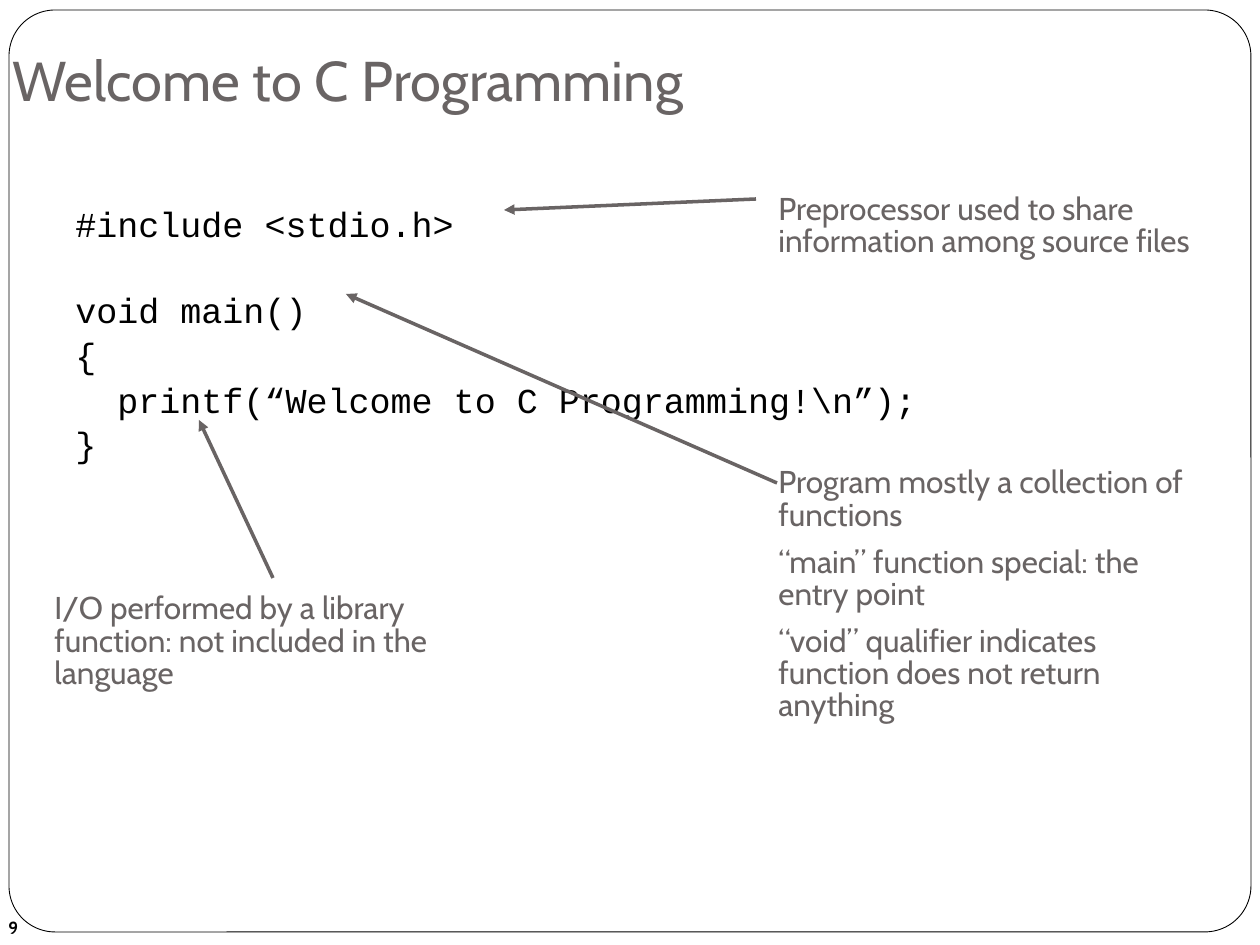
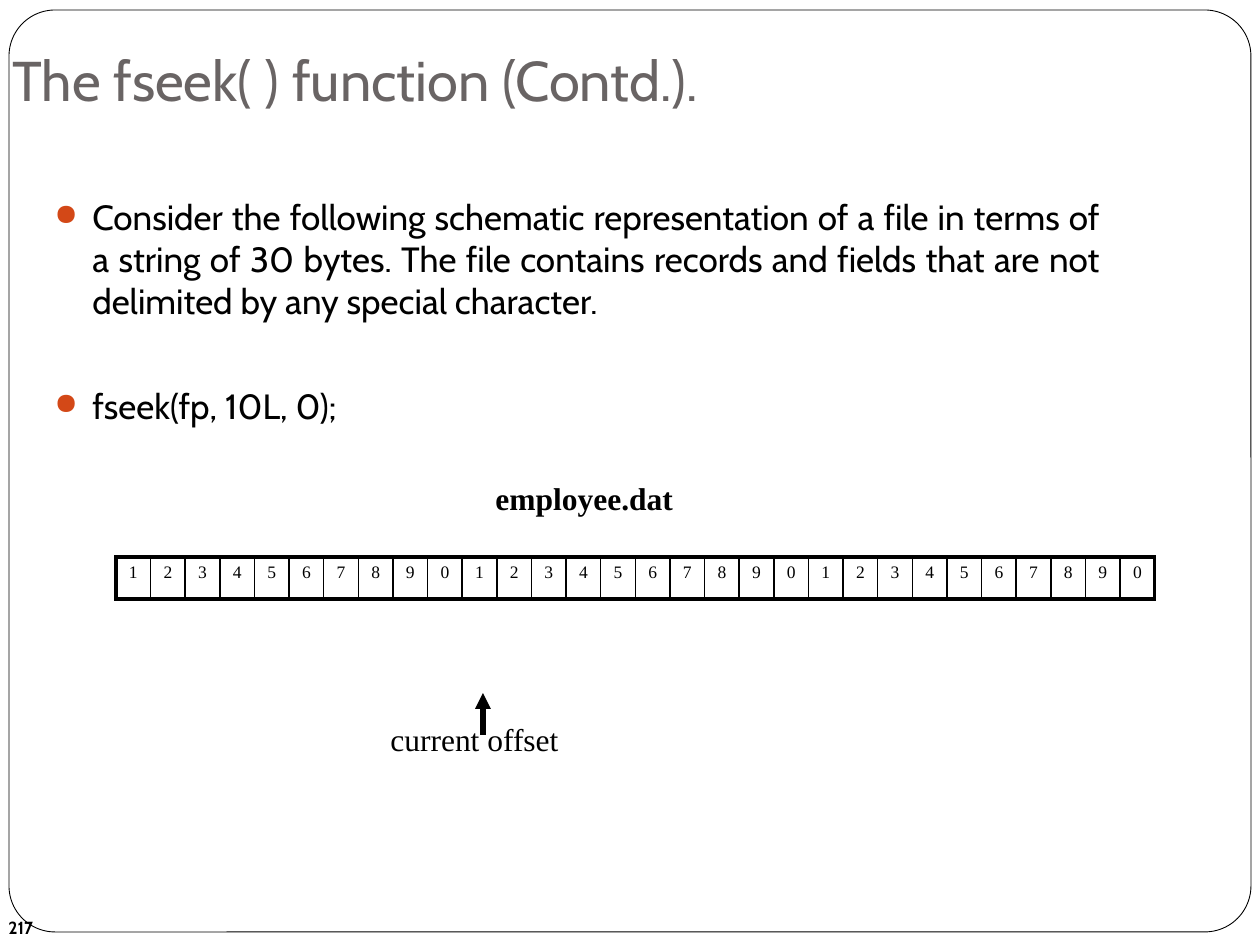
import pptx
import pptx.dml.color
import pptx.enum.shapes
import pptx.enum.text
import pptx.oxml
import pptx.oxml.ns
import pptx.util
import lxml.etree

PX = 914400 / 126
BLACK = pptx.dml.color.RGBColor(0x00, 0x00, 0x00)
WHITE = pptx.dml.color.RGBColor(0xFF, 0xFF, 0xFF)
GREY = pptx.dml.color.RGBColor(0x69, 0x64, 0x64)
ORANGE = pptx.dml.color.RGBColor(0xD3, 0x48, 0x17)

Pt = pptx.util.Pt
ANCHOR = pptx.enum.text.MSO_ANCHOR
ALIGN = pptx.enum.text.PP_ALIGN

TITLE = {"name": "Cabin", "size": Pt(32), "color": GREY}
NUMBER = {"name": "Cabin", "size": Pt(10), "bold": True, "color": BLACK}
CODE = {"name": "Courier New", "size": Pt(20), "color": BLACK}
NOTE = {"name": "Cabin", "size": Pt(18), "color": GREY}
BODY = {"name": "Cabin", "size": Pt(20), "color": BLACK}
LABEL = {"name": "Times New Roman", "size": Pt(18), "color": BLACK}
FILE_NAME = {**LABEL, "bold": True}
BYTE = {**LABEL, "size": Pt(10)}


def emu(px):
    return pptx.util.Emu(round(px * PX))


def set_attributes(target, values):
    for name, value in values.items():
        setattr(target, name, value)


def add_xml(parent, tag, **attributes):
    child = lxml.etree.SubElement(parent, pptx.oxml.ns.qn(tag))
    for name, value in attributes.items():
        child.set(name, str(value))
    return child


def write_run(p, text, font):
    r = p.add_run()
    r.text = text
    set_attributes(r.font, {k: v for k, v in font.items() if k != "color"})
    r.font.color.rgb = font["color"]


def add_bullet(p):
    pPr = p._p.get_or_add_pPr()
    pPr.set("marL", str(emu(38)))
    pPr.set("indent", str(-emu(38)))
    add_xml(add_xml(pPr, "a:buClr"), "a:srgbClr", val=ORANGE)
    add_xml(pPr, "a:buSzPct", val=85000)
    add_xml(pPr, "a:buChar", char="●")


def add_text(s, box, lines, font, gaps=(), bullets=False, frame=None, paragraph=None):
    sp = s.shapes.add_textbox(*map(emu, box))
    tf = sp.text_frame
    set_attributes(tf, {"word_wrap": True, **(frame or {})})
    for i, line in enumerate(lines):
        p = tf.add_paragraph() if i else tf.paragraphs[0]
        if bullets:
            add_bullet(p)
        set_attributes(p, paragraph or {})
        if i and gaps:
            p.space_before = Pt(gaps[i - 1])
        write_run(p, line, font)


def add_note(s, box, lines):
    add_text(s, box, lines, NOTE, gaps=[8.5] * (len(lines) - 1),
             paragraph={"line_spacing": 0.85})


def add_arrow(s, start, end, color, width):
    line = s.shapes.add_connector(
        pptx.enum.shapes.MSO_CONNECTOR.STRAIGHT, *map(emu, start + end))
    line.line.color.rgb = color
    line.line.width = Pt(width)
    spPr = line._element.spPr
    add_xml(spPr.find(pptx.oxml.ns.qn("a:ln")), "a:tailEnd", type="triangle")
    add_xml(spPr, "a:effectLst")


def add_border(cell, side, width):
    ln = add_xml(cell._tc.get_or_add_tcPr(), f"a:ln{side}", w=Pt(width))
    add_xml(add_xml(ln, "a:solidFill"), "a:srgbClr", val=BLACK)


def add_byte_table(s, box, count):
    table = s.shapes.add_table(1, count, *map(emu, box)).table
    set_attributes(table, {"first_row": False, "horz_banding": False})
    for i, column in enumerate(table.columns):
        column.width = emu(box[2] / count)
        cell = table.cell(0, i)
        set_attributes(cell, {"margin_left": 0, "margin_right": 0})
        p = cell.text_frame.paragraphs[0]
        p.alignment = ALIGN.CENTER
        write_run(p, str((i + 1) % 10), BYTE)
        add_border(cell, "L", 1 if i else 2.25)
        add_border(cell, "R", 1 if i < count - 1 else 2.25)
        add_border(cell, "T", 2.25)
        add_border(cell, "B", 2.25)
        cell.fill.background()


def add_slide(prs, title, number):
    s = prs.slides.add_slide(prs.slide_layouts[6])
    sp = s.shapes.add_shape(pptx.enum.shapes.MSO_SHAPE.ROUNDED_RECTANGLE,
                            *map(emu, (9, 10, 1242, 922)))
    sp.adjustments[0] = 0.05
    sp.shadow.inherit = False
    sp.fill.solid()
    sp.fill.fore_color.rgb = WHITE
    sp.line.color.rgb = BLACK
    sp.line.width = Pt(0.5)
    add_text(s, (-4, 903, 294, 50), [number], NUMBER,
             frame={"vertical_anchor": ANCHOR.MIDDLE})
    add_text(s, (0, 0, 1042, 126), [title], TITLE,
             frame={"vertical_anchor": ANCHOR.BOTTOM, "margin_bottom": emu(13)})
    return s


def add_welcome_slide(prs):
    s = add_slide(prs, "Welcome to C Programming", "9")
    code = ["#include <stdio.h>", "void main()", "{",
            "  printf(“Welcome to C Programming!\\n”);", "}"]
    add_text(s, (63, 196, 1134, 693), code, CODE, gaps=[25.5, 1.5, 1.5, 1.5])
    add_note(s, (766, 189, 451, 77),
             ["Preprocessor used to share information among source files"])
    add_note(s, (766, 462, 451, 243),
             ["Program mostly a collection of functions",
              "“main” function special: the entry point",
              "“void” qualifier indicates function does not return anything"])
    add_note(s, (42, 588, 472, 110),
             ["I/O performed by a library function: not included in the language"])
    for start, end in (((756, 199), (504, 210)),
                       ((777, 483), (346, 294)),
                       ((273, 578), (199, 420))):
        add_arrow(s, start, end, GREY, 2)


def add_fseek_slide(prs):
    s = add_slide(prs, "The fseek( ) function (Contd.).", "217")
    add_text(s, (42, 189, 1071, 273),
             ["Consider the following schematic representation of a file in terms of "
              "a string of 30 bytes. The file contains records and fields that are not "
              "delimited by any special character.",
              "fseek(fp, 10L, 0);"],
             BODY, gaps=[36], bullets=True, paragraph={"alignment": ALIGN.JUSTIFY})
    add_arrow(s, (483, 735), (483, 693), BLACK, 3)
    add_text(s, (378, 714, 220, 50), ["current offset"], LABEL)
    add_text(s, (483, 473, 220, 50), ["employee.dat"], FILE_NAME)
    add_byte_table(s, (116, 557, 1040, 42), 30)


def main():
    prs = pptx.Presentation()
    prs.slide_width = emu(1260)
    prs.slide_height = emu(945)
    add_welcome_slide(prs)
    add_fseek_slide(prs)
    prs.save("out.pptx")


if __name__ == "__main__":
    main()
